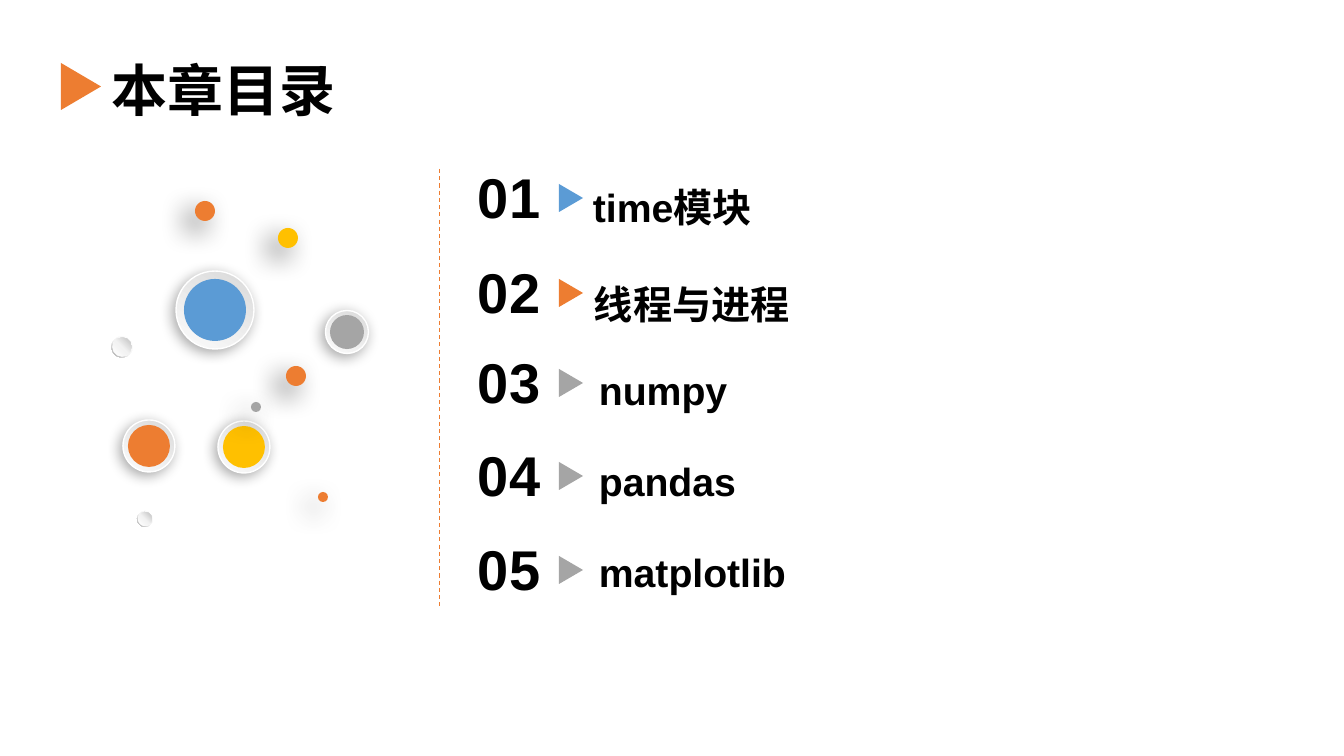
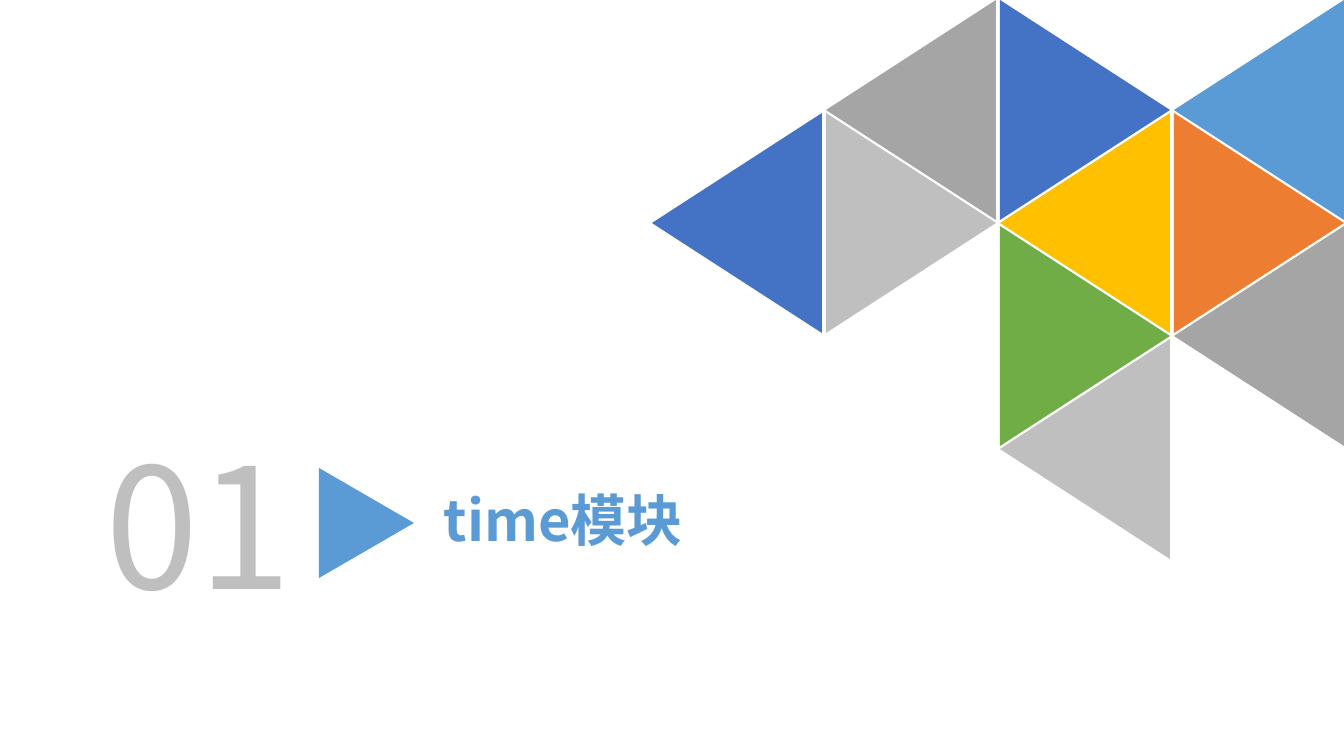
from typing import Any, NamedTuple

import lxml.etree
import pptx
import pptx.dml.color
import pptx.enum.dml
import pptx.enum.shapes
import pptx.enum.text
import pptx.oxml.ns
import pptx.util

RGB = pptx.dml.color.RGBColor
BLACK = RGB(0x00, 0x00, 0x00)
WHITE = RGB(0xFF, 0xFF, 0xFF)
BLUE = RGB(0x5B, 0x9B, 0xD5)
NAVY = RGB(0x44, 0x72, 0xC4)
ORANGE = RGB(0xED, 0x7D, 0x31)
YELLOW = RGB(0xFF, 0xC0, 0x00)
GREEN = RGB(0x70, 0xAD, 0x47)
GREY = RGB(0xA5, 0xA5, 0xA5)
SILVER = RGB(0xBF, 0xBF, 0xBF)
STEEL = RGB(0xA6, 0xA6, 0xA6)
CLOUD = RGB(0xD9, 0xD9, 0xD9)
MIST = RGB(0xF2, 0xF2, 0xF2)
SNOW = RGB(0xFC, 0xFC, 0xFC)

SLIDE_WIDTH, SLIDE_HEIGHT = 1344, 756
EMU_PER_PX = 12192000 / SLIDE_WIDTH
LATIN_FONT, CHINESE_FONT = "Arial", "Noto Sans CJK SC"
SHAPES = pptx.enum.shapes.MSO_SHAPE
CENTER = pptx.enum.text.PP_ALIGN.CENTER


class Gradient(NamedTuple):
    angle: int
    stops: tuple[tuple[int, RGB], ...]


class Shadow(NamedTuple):
    opacity: int
    blur: int
    distance: int
    angle: int


class Entry(NamedTuple):
    number: str
    label: str
    top: int
    label_left: int
    label_top: int
    color: RGB


class Ring(NamedTuple):
    x: int
    y: int
    outer: int
    inner: int
    color: RGB


class Dot(NamedTuple):
    x: int
    y: int
    diameter: int
    color: RGB


class Pearl(NamedTuple):
    x: int
    y: int
    diameter: int


class Tile(NamedTuple):
    column: int
    row: int
    color: RGB


RING_FILL = Gradient(120, ((0, CLOUD), (100, SNOW)))
PEARL_RIM = Gradient(135, ((0, WHITE), (55, MIST), (100, STEEL)))
PEARL_FILL = Gradient(315, ((0, WHITE), (51, MIST), (100, SILVER)))
RING_SHADOW = Shadow(34, 10, 3, 136)
DOT_SHADOW = Shadow(60, 20, 10, 135)

NUMBER_LEFT, ARROW_LEFT = 468, 559
ENTRIES = (
    Entry("01", "time模块", 158, 583, 155, BLUE),
    Entry("02", "线程与进程", 253, 584, 252, ORANGE),
    Entry("03", "numpy", 343, 589, 338, GREY),
    Entry("04", "pandas", 436, 589, 429, GREY),
    Entry("05", "matplotlib", 530, 589, 520, GREY),
)
RINGS = (
    Ring(215, 310, 78, 62, BLUE),
    Ring(149, 446, 52, 42, ORANGE),
    Ring(244, 447, 52, 42, YELLOW),
    Ring(347, 332, 43, 34, GREY),
)
DOTS = (
    Dot(296, 376, 20, ORANGE),
    Dot(288, 238, 20, YELLOW),
    Dot(323, 497, 10, ORANGE),
    Dot(205, 211, 20, ORANGE),
    Dot(256, 407, 10, GREY),
)
PEARLS = (Pearl(145, 519, 16), Pearl(122, 347, 21))

TILE_WIDTH, TILE_HEIGHT = 170, 220
MOSAIC_LEFT, COLUMN_STEP, ROW_STEP = 652, 174, 113
TILES = (
    Tile(3, 0, BLUE), Tile(3, 1, ORANGE), Tile(3, 2, GREY),
    Tile(2, 0, NAVY), Tile(2, 1, YELLOW), Tile(2, 2, GREEN), Tile(2, 3, SILVER),
    Tile(1, 0, GREY), Tile(1, 1, SILVER), Tile(0, 1, NAVY),
)


def px(length: float) -> pptx.util.Emu:
    return pptx.util.Emu(round(length * EMU_PER_PX))


def apply(target: Any, formats: dict[str, Any]) -> None:
    for name, value in formats.items():
        setattr(target, name, value)


def add_child(parent: Any, tag: str, **attributes: Any) -> Any:
    texts = {name: str(value) for name, value in attributes.items()}
    return lxml.etree.SubElement(parent, pptx.oxml.ns.qn(tag), texts)


def fill_gradient(shape: Any, gradient: Gradient) -> None:
    shape.fill.gradient()
    shape.fill.gradient_angle = (360 - gradient.angle) % 360
    stop_list = shape.element.spPr.find(".//" + pptx.oxml.ns.qn("a:gsLst"))
    for stop in list(stop_list):
        stop_list.remove(stop)
    for percent, color in gradient.stops:
        stop = add_child(stop_list, "a:gs", pos=percent * 1000)
        add_child(stop, "a:srgbClr", val=color)


def add_shadow(shape: Any, shadow: Shadow) -> None:
    effects = shape.element.spPr.find(pptx.oxml.ns.qn("a:effectLst"))
    outer = add_child(
        effects, "a:outerShdw",
        blurRad=pptx.util.Pt(shadow.blur), dist=pptx.util.Pt(shadow.distance),
        dir=shadow.angle * 60000, algn="ctr", rotWithShape=0,
    )
    color = add_child(outer, "a:srgbClr", val=BLACK)
    add_child(color, "a:alpha", val=shadow.opacity * 1000)


def add_figure(page: Any, kind: Any, left: float, top: float, width: int,
               height: int, fill: RGB | Gradient) -> Any:
    shape = page.shapes.add_shape(kind, px(left), px(top), px(width), px(height))
    shape.shadow.inherit = False
    shape.line.fill.background()
    if isinstance(fill, Gradient):
        fill_gradient(shape, fill)
    else:
        shape.fill.solid()
        shape.fill.fore_color.rgb = fill
    return shape


def add_disc(page: Any, x: int, y: int, diameter: int, fill: RGB | Gradient,
             kind: Any = SHAPES.OVAL) -> Any:
    """Draw a round shape about its centre."""
    radius = diameter / 2
    return add_figure(page, kind, x - radius, y - radius, diameter, diameter, fill)


def add_arrow(page: Any, left: int, top: int, width: int, height: int,
              color: RGB, rotation: int = 90) -> None:
    """Draw a triangle on its side; the box is the one seen after turning."""
    shift = (width - height) / 2
    shape = add_figure(page, SHAPES.ISOSCELES_TRIANGLE, left + shift, top - shift,
                       height, width, color)
    shape.rotation = rotation


def add_text(page: Any, text: str, left: int, top: int, width: int, height: int,
             size: int, color: RGB = BLACK, font: str = LATIN_FONT,
             bold: bool = True, **paragraph: Any) -> None:
    box = page.shapes.add_textbox(px(left), px(top), px(width), px(height))
    apply(box.text_frame, {
        "word_wrap": True,
        "auto_size": pptx.enum.text.MSO_AUTO_SIZE.SHAPE_TO_FIT_TEXT,
    })
    para = box.text_frame.paragraphs[0]
    apply(para, paragraph)
    span = para.add_run()
    span.text = text
    apply(span.font, {"name": font, "size": pptx.util.Pt(size), "bold": bold})
    span.font.color.rgb = color
    add_child(span.font._element, "a:ea", typeface=CHINESE_FONT)


def add_divider(page: Any, x: int, top: int, bottom: int) -> None:
    line = page.shapes.add_connector(
        pptx.enum.shapes.MSO_CONNECTOR.STRAIGHT, px(x), px(top), px(x), px(bottom))
    apply(line.line, {
        "width": pptx.util.Pt(0.75),
        "dash_style": pptx.enum.dml.MSO_LINE.DASH,
    })
    line.line.color.rgb = ORANGE
    add_child(line.element.spPr, "a:effectLst")


def add_bubbles(page: Any) -> None:
    for ring in RINGS:
        rim = add_disc(page, ring.x, ring.y, ring.outer, RING_FILL)
        rim.line.color.rgb = WHITE
        rim.line.width = pptx.util.Pt(1)
        add_shadow(rim, RING_SHADOW)
        add_disc(page, ring.x, ring.y, ring.inner, ring.color)
    for dot in DOTS:
        add_shadow(add_disc(page, *dot), DOT_SHADOW)
    for pearl in PEARLS:
        rim = add_disc(page, *pearl, PEARL_RIM, SHAPES.DONUT)
        rim.adjustments[0] = 0.05
        add_disc(page, pearl.x, pearl.y, pearl.diameter - 2, PEARL_FILL)


def draw_contents(page: Any) -> None:
    add_text(page, "本章目录", 102, 51, 329, 78, 40)
    add_arrow(page, 61, 63, 40, 47, ORANGE)
    add_bubbles(page)
    add_divider(page, 440, 169, 609)
    for entry in ENTRIES:
        add_arrow(page, ARROW_LEFT, entry.top + 26, 24, 28, entry.color)
        add_text(page, entry.number, NUMBER_LEFT, entry.top, 91, 78, 40)
        add_text(page, entry.label, entry.label_left, entry.label_top, 455, 71, 28,
                 line_spacing=1.5)


def draw_section(page: Any) -> None:
    for tile in TILES:
        points_left = (tile.column + tile.row) % 2 == 1
        add_arrow(page, MOSAIC_LEFT + tile.column * COLUMN_STEP, tile.row * ROW_STEP,
                  TILE_WIDTH, TILE_HEIGHT, tile.color, 270 if points_left else 90)
    add_text(page, "time模块", 434, 481, 477, 78, 40, BLUE, CHINESE_FONT)
    add_text(page, "01", 48, 417, 302, 214, 120, SILVER, CHINESE_FONT, False,
             alignment=CENTER)
    add_arrow(page, 319, 468, 95, 110, BLUE)


def main() -> None:
    deck = pptx.Presentation()
    apply(deck, {"slide_width": px(SLIDE_WIDTH), "slide_height": px(SLIDE_HEIGHT)})
    for draw in (draw_contents, draw_section):
        draw(deck.slides.add_slide(deck.slide_layouts[6]))
    deck.save("out.pptx")


if __name__ == "__main__":
    main()
